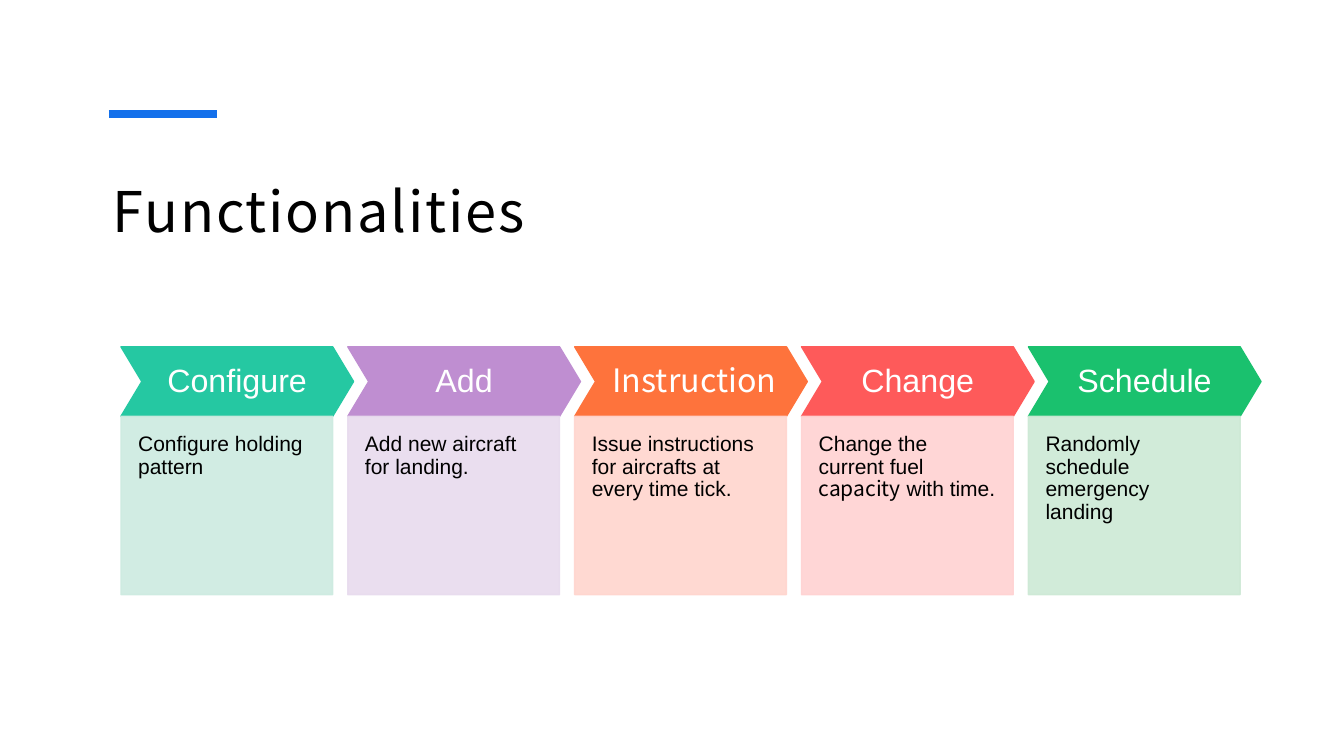
from lxml import etree
from pptx import Presentation
from pptx.dml.color import RGBColor
from pptx.enum.shapes import MSO_CONNECTOR, MSO_SHAPE
from pptx.enum.text import MSO_ANCHOR as Anchor, MSO_AUTO_SIZE, PP_ALIGN as Align
from pptx.oxml.ns import qn
from pptx.util import Inches, Pt

SANS, CJK = "Arial", "Noto Sans CJK JP"

# Grid of the five columns, in inches
FIRST_LEFT, PITCH, CARD_WIDTH = 1.2, 2.25, 2.1
HEAD_TOP, HEAD_HEIGHT, CARD_HEIGHT = 3.44, 0.69, 1.77
POINT = 0.3  # chevron point as a share of its height

# Heading, heading font, chevron colour, card colour, card text as (words, font)
STEPS = [
    ("Configure", SANS, "25C8A2", "CDEBE0", [("Configure holding pattern", SANS)]),
    ("Add", SANS, "BF8ED1", "E8DBEE", [("Add new aircraft for landing.", SANS)]),
    (" Instruction", CJK, "FE733C", "FFD5CE",
     [("Issue instructions for aircrafts at every time tick.", SANS)]),
    ("Change", SANS, "FE5A5A", "FFD2D2",
     [("Change the current fuel ", SANS), ("capacity", CJK), (" with time.", SANS)]),
    ("Schedule", SANS, "1AC16E", "CDE9D5",
     [("Randomly schedule emergency landing", SANS)]),
]


def paint(color_format, color):
    color_format.rgb = RGBColor.from_string(color)


def set_opacity(shape, percent):
    for color in shape._element.spPr.iter(qn("a:srgbClr")):
        etree.SubElement(color, qn("a:alpha"), val=str(percent * 1000))


def write(shape, spans, size, color, insets, align, anchor, spacing):
    """Fill the shape with one paragraph of (words, font) spans."""
    frame = shape.text_frame
    frame.word_wrap = True
    frame.auto_size = MSO_AUTO_SIZE.NONE
    frame.vertical_anchor = anchor
    (frame.margin_left, frame.margin_top,
     frame.margin_right, frame.margin_bottom) = map(Inches, insets)
    para = frame.paragraphs[0]
    para.alignment, para.line_spacing = align, spacing
    para.font.size = Pt(size)
    paint(para.font.color, color)
    for words, font in spans:
        span = para.add_run()
        span.text = words
        span.font.name = font
    return para


def add_block(page, kind, left, top, width, height, color):
    block = page.shapes.add_shape(kind, *map(Inches, (left, top, width, height)))
    block.shadow.inherit = False
    block.fill.solid()
    paint(block.fill.fore_color, color)
    paint(block.line.color, color)
    block.line.width = Pt(1)
    return block


def add_title(page, words):
    title = page.shapes.title
    title.left, title.top, title.width, title.height = map(
        Inches, (1, 1.5, 11.33, 1.44))
    para = write(title, [(words, CJK)], 40, "000000", (0.12, 0.12, 0.12, 0.1),
                 Align.LEFT, Anchor.TOP, 1.2)
    para.runs[0].font._element.set("spc", "130")


def add_accent(page):
    accent = page.shapes.add_connector(
        MSO_CONNECTOR.STRAIGHT, *map(Inches, (1.08, 1.13, 2.15, 1.13)))
    paint(accent.line.color, "1370EB")
    accent.line.width = Pt(6)
    etree.SubElement(accent._element.spPr, qn("a:effectLst"))


def add_step(page, column, heading, heading_font, head_color, card_color, spans):
    left = FIRST_LEFT + column * PITCH
    head = add_block(page, MSO_SHAPE.CHEVRON, left, HEAD_TOP,
                     CARD_WIDTH + POINT * HEAD_HEIGHT, HEAD_HEIGHT, head_color)
    head.adjustments[0] = POINT
    write(head, [(heading, heading_font)], 23, "FFFFFF", (0.09,) * 4,
          Align.CENTER, Anchor.MIDDLE, 0.9)

    card = add_block(page, MSO_SHAPE.RECTANGLE, left, HEAD_TOP + HEAD_HEIGHT,
                     CARD_WIDTH, CARD_HEIGHT, card_color)
    set_opacity(card, 90)
    write(card, spans, 15, "000000", (0.17, 0.17, 0.17, 0.33),
          Align.LEFT, Anchor.TOP, 0.9)


def main():
    deck = Presentation()
    deck.slide_width, deck.slide_height = Inches(13.33), Inches(7.5)
    page = deck.slides.add_slide(deck.slide_layouts.get_by_name("Title Only"))

    # Title and accent line
    add_title(page, "Functionalities")
    add_accent(page)

    # Row of steps
    for column, step in enumerate(STEPS):
        add_step(page, column, *step)

    deck.save("out.pptx")


if __name__ == "__main__":
    main()
